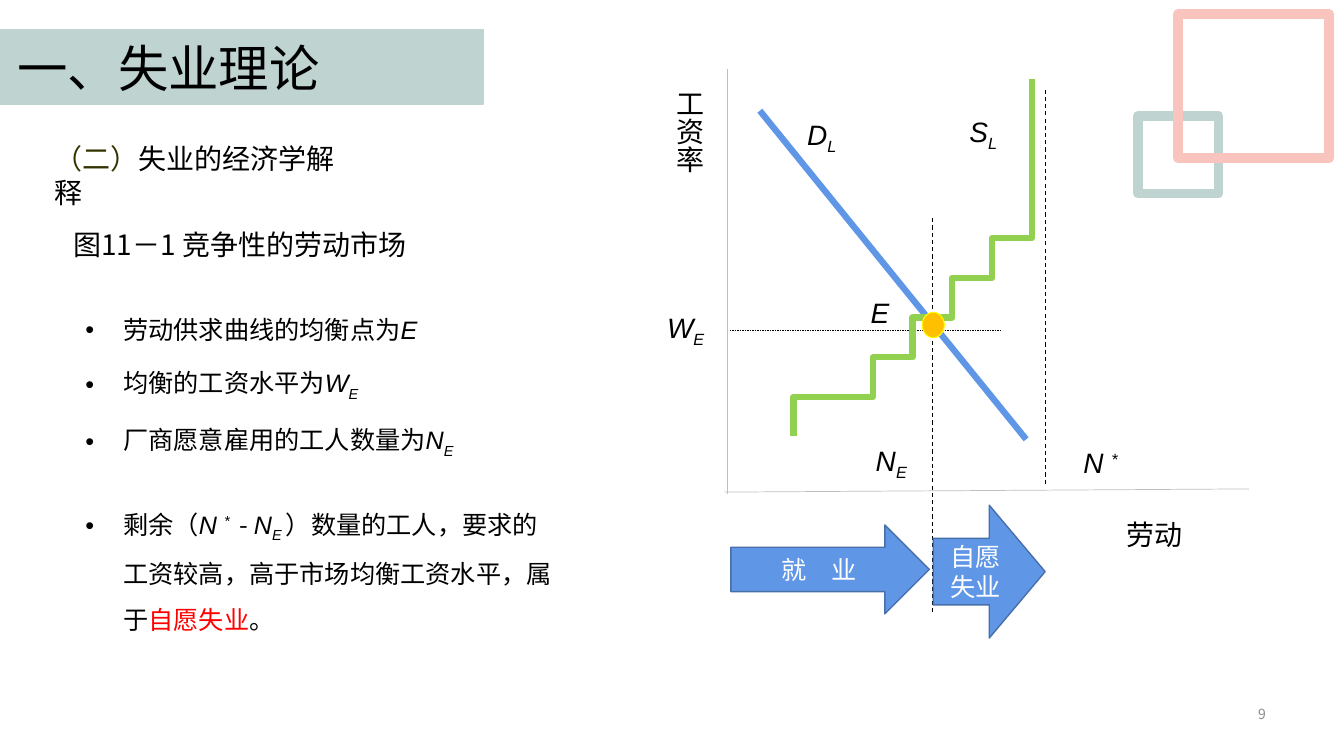
from lxml import etree
from pptx import Presentation
from pptx.dml.color import RGBColor
from pptx.enum.dml import MSO_LINE as Dash
from pptx.enum.shapes import MSO_CONNECTOR as Link, MSO_SHAPE as Kind
from pptx.enum.text import MSO_ANCHOR as Anchor, MSO_AUTO_SIZE as Fit, PP_ALIGN as Align
from pptx.oxml.ns import qn
from pptx.util import Cm, Pt

BLACK = RGBColor(0x00, 0x00, 0x00)
WHITE = RGBColor(0xFF, 0xFF, 0xFF)
GRAY = RGBColor(0x8C, 0x8C, 0x8C)
SILVER = RGBColor(0xBF, 0xBF, 0xBF)
OLIVE = RGBColor(0x33, 0x33, 0x00)
RED = RGBColor(0xFF, 0x00, 0x00)
MINT = RGBColor(0xBF, 0xD3, 0xD1)
PINK = RGBColor(0xF9, 0xC4, 0xBE)
BLUE = RGBColor(0x60, 0x96, 0xE6)
NAVY = RGBColor(0x47, 0x6F, 0xAA)
GREEN = RGBColor(0x92, 0xD0, 0x50)
AMBER = RGBColor(0xFF, 0xC0, 0x00)
YELLOW = RGBColor(0xFF, 0xFF, 0x00)
HAN, LATIN = "Noto Sans CJK SC", "Arial"
SUB, SUPER = -25000, 30000


def var(text, base=0):
    return text, {"name": LATIN, "italic": True}, base


def symbol(name, mark, base=SUB):
    return [var(name), var(mark, base)]


class Board:
    def __init__(self, deck):
        self.slide = deck.slides.add_slide(deck.slide_layouts[5])
        self.shapes = self.slide.shapes
        self.style = {"name": HAN, "size": Pt(20), "color": BLACK}

    def fill_para(self, para, runs, **look):
        for item in [runs] if isinstance(runs, str) else runs:
            text, own, base = (item, {}, 0) if isinstance(item, str) else item
            run = para.add_run()
            run.text = text
            form = {**self.style, **look, **own}
            run.font.color.rgb = form.pop("color")
            for key, value in form.items():
                setattr(run.font, key, value)
            props = run.font._element
            etree.SubElement(props, qn("a:ea")).set("typeface", HAN)
            if base:
                props.set("baseline", str(base))

    def frame(self, shape, **opts):
        base = {"word_wrap": True, "auto_size": Fit.NONE, "vertical_anchor": Anchor.TOP}
        for key, value in {**base, **opts}.items():
            setattr(shape.text_frame, key, value)
        return shape.text_frame

    def title(self, box, text):
        head = self.shapes.title
        head.left, head.top, head.width, head.height = map(Cm, box)
        para = self.frame(head).paragraphs[0]
        para.alignment = Align.LEFT
        self.fill_para(para, text, size=Pt(36))
        self.shapes._spTree.append(head._element)

    def text(self, box, runs, align=Align.LEFT, opts={}, **look):
        shape = self.shapes.add_textbox(*map(Cm, box))
        para = self.frame(shape, **opts).paragraphs[0]
        para.alignment = align
        self.fill_para(para, runs, **look)
        return shape

    def bullets(self, box, items):
        frame = self.frame(self.shapes.add_textbox(*map(Cm, box)))
        for n, runs in enumerate(items):
            para = frame.add_paragraph() if n else frame.paragraphs[0]
            para.line_spacing = 1.5
            para.space_before = Pt(4 if n else 0)
            props = para._p.get_or_add_pPr()
            props.set("marL", str(Cm(0.96)))
            props.set("indent", str(-Cm(0.96)))
            etree.SubElement(props, qn("a:buFont")).set("typeface", LATIN)
            etree.SubElement(props, qn("a:buChar")).set("char", "•")
            self.fill_para(para, runs, size=Pt(18))

    def shape(self, kind, box, line, width, fill=None, text=""):
        shape = self.shapes.add_shape(kind, *map(Cm, box))
        self.paint(shape, line, width, fill)
        if text:
            para = self.frame(shape, vertical_anchor=Anchor.MIDDLE).paragraphs[0]
            para.alignment = Align.CENTER
            self.fill_para(para, text, size=Pt(18), color=WHITE)

    def paint(self, shape, line, width, fill=None):
        shape.shadow.inherit = False
        shape.line.color.rgb = line
        shape.line.width = Pt(width)
        if fill is None:
            shape.fill.background()
        else:
            shape.fill.solid()
            shape.fill.fore_color.rgb = fill

    def line(self, ends, color, width, dash=None):
        link = self.shapes.add_connector(Link.STRAIGHT, *map(Cm, ends))
        link.line.color.rgb = color
        link.line.width = Pt(width)
        link.line.dash_style = dash
        etree.SubElement(link._element.spPr, qn("a:effectLst"))

    def curve(self, knots, color, width, steps=12):
        dots = [knots[0]]
        for n in range(0, len(knots) - 1, 3):
            a, b, c, d = knots[n:n + 4]
            for k in range(1, steps + 1):
                t = k / steps
                u = 1 - t
                dots.append(tuple(
                    u**3 * p + 3 * u * u * t * q + 3 * u * t * t * r + t**3 * s
                    for p, q, r, s in zip(a, b, c, d)))
        trace = self.shapes.build_freeform(*dots[0], scale=Cm(1))
        trace.add_line_segments(dots[1:], close=False)
        self.paint(trace.convert_to_shape(), color, width)


def main():
    deck = Presentation()
    deck.slide_width, deck.slide_height = Cm(33.87), Cm(19.05)
    board = Board(deck)

    board.line((23.5, 5.5, 23.5, 15.5), BLACK, 0.75, Dash.DASH)
    board.line((18.39, 8.31, 25.25, 8.31), BLACK, 0.25, Dash.DASH)
    board.line((19.15, 2.79, 25.86, 11.07), BLUE, 4.5)
    board.curve([(19.76, 10.87), (20.98, 10.11), (22.2, 9.32), (23.11, 8.56),
                 (24, 7.8), (24.64, 7.06), (25.12, 6.32),
                 (25.6, 5.59), (25.83, 4.83), (25.98, 4.14),
                 (26.16, 3.43), (26.14, 2.77), (26.14, 2.13)], GREEN, 4.5)

    board.text((24.66, 17.55, 7.49, 0.89), "9", Align.RIGHT,
               {"vertical_anchor": Anchor.MIDDLE}, size=Pt(10), color=GRAY)
    board.text((1.12, 3.45, 8.1, 1.12),
               [("（二）", {"color": OLIVE}, 0), "失业的经济学解释"])
    board.text((1.6, 5.61, 9.63, 1.12), "图11－1 竞争性的劳动市场", Align.JUSTIFY)
    board.shape(Kind.RECTANGLE, (0, 0.74, 12.17, 1.88), MINT, 1, MINT)
    board.title((0.18, 0.81, 11.81, 1.8), "一、失业理论")
    board.shape(Kind.RECTANGLE, (28.68, 2.92, 2.03, 1.96), MINT, 7)
    board.shape(Kind.RECTANGLE, (29.69, 0.36, 3.81, 3.63), PINK, 7)

    board.line((18.26, 12.4, 31.47, 12.32), SILVER, 0.5)
    inset = {"margin_left": Cm(0.3), "margin_right": Cm(0.3),
             "margin_top": Cm(0.15), "margin_bottom": Cm(0.15)}
    board.text((28.09, 12.9, 3.48, 1.17), "劳动", opts=inset, name=LATIN)
    wage = board.text((16.64, 2.11, 1.47, 2.9), "工资率", opts=inset, name=LATIN)
    wage.text_frame._txBody.bodyPr.set("vert", "eaVert")
    board.line((26.34, 2.26, 26.34, 12.24), BLACK, 0.75, Dash.DASH)
    board.line((18.34, 12.45, 18.34, 1.75), SILVER, 0.5)
    board.shape(Kind.OVAL, (23.24, 7.87, 0.56, 0.64), YELLOW, 0.75, AMBER)
    board.shape(Kind.RIGHT_ARROW, (18.42, 13.23, 5, 2.24), NAVY, 1, BLUE, "就　业")
    board.shape(Kind.RIGHT_ARROW, (23.52, 12.73, 2.82, 3.35), NAVY, 1, BLUE, "自愿失业")

    for left, top, width, runs in [
            (20.09, 2.84, 1.3, symbol("D", "L")),
            (24.18, 2.77, 1.3, symbol("S", "L")),
            (21.69, 7.32, 0.99, [var("E")]),
            (16.56, 7.7, 1.5, symbol("W", "E")),
            (21.82, 11.05, 1.35, symbol("N", "E")),
            (27.05, 11.1, 1.42, symbol("N ", "*", SUPER))]:
        board.text((left, top, width, 1.12), runs, opts={"word_wrap": False})

    board.bullets((1.9, 7.42, 12.7, 4.11), [
        ["劳动供求曲线的均衡点为", var("E")],
        ["均衡的工资水平为", *symbol("W", "E")],
        ["厂商愿意雇用的工人数量为", *symbol("N", "E")]])
    board.bullets((1.9, 12.27, 12.4, 3.4), [
        ["剩余（", *symbol("N ", "* ", SUPER), " - ", *symbol("N", "E "),
         "）数量的工人，要求的工资较高，高于市场均衡工资水平，属于",
         ("自愿失业", {"color": RED}, 0), "。"]])
    deck.save("out.pptx")


if __name__ == "__main__":
    main()
